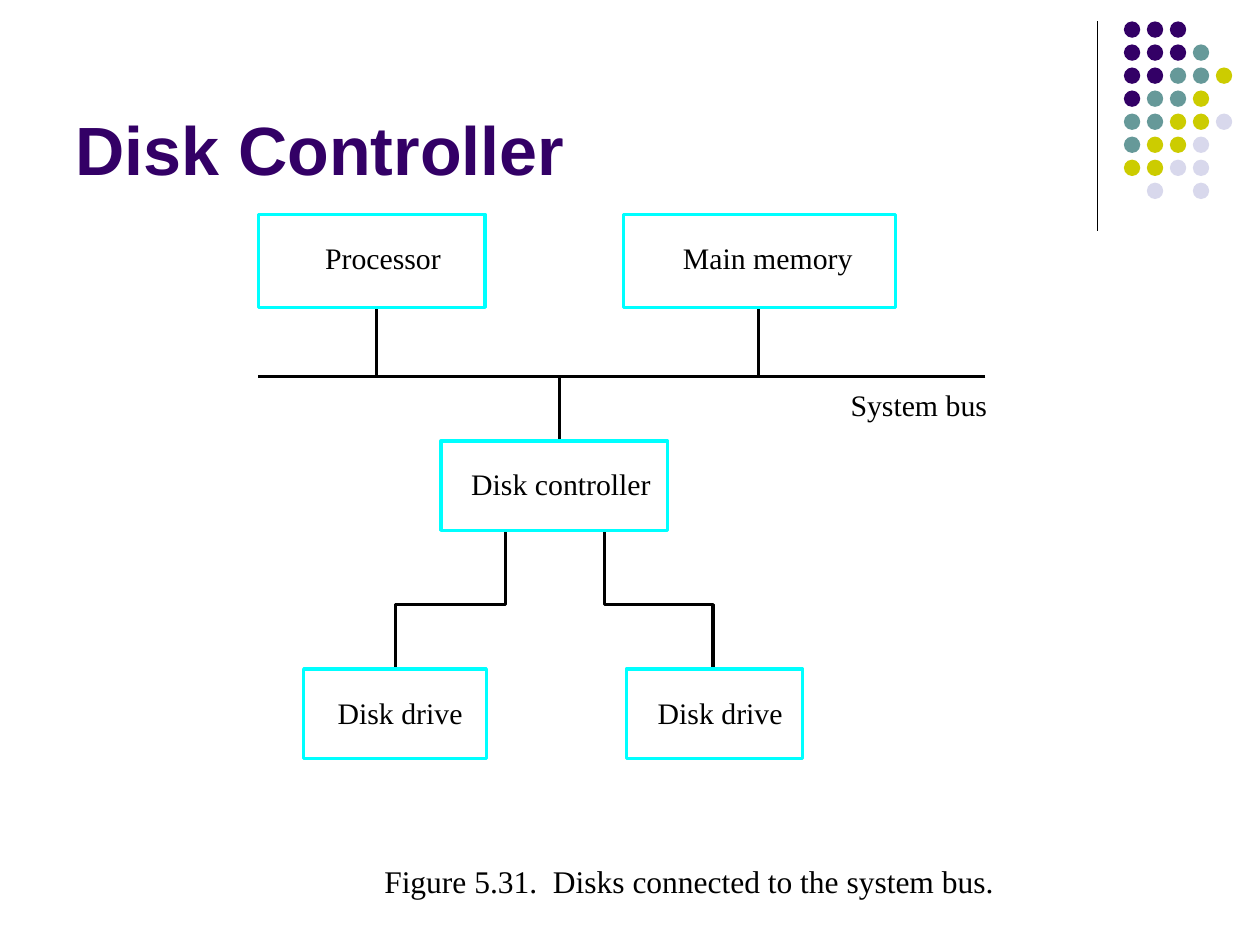
from lxml.etree import SubElement
from pptx import Presentation
from pptx.dml.color import RGBColor
from pptx.enum.shapes import MSO_CONNECTOR as CONNECTOR, MSO_SHAPE as SHAPE
from pptx.enum.text import MSO_ANCHOR as ANCHOR, MSO_AUTO_SIZE as AUTO_SIZE
from pptx.oxml.ns import qn
from pptx.util import Inches, Pt

PURPLE = RGBColor(0x33, 0x00, 0x66)
TEAL = RGBColor(0x66, 0x99, 0x99)
OLIVE = RGBColor(0xCC, 0xCC, 0x00)
LAVENDER = RGBColor(0xD8, 0xD8, 0xEC)
CYAN = RGBColor(0x00, 0xFF, 0xFF)
BLACK = RGBColor(0x00, 0x00, 0x00)
LINE_WIDTH = Pt(1.87)

deck = Presentation()
deck.slide_width = Inches(10)
deck.slide_height = Inches(7.5)
page = deck.slides.add_slide(deck.slide_layouts[6])


def add_line(x1, y1, x2, y2, width):
    line = page.shapes.add_connector(
        CONNECTOR.STRAIGHT, Inches(x1), Inches(y1), Inches(x2), Inches(y2))
    line.line.color.rgb = BLACK
    line.line.width = width
    SubElement(line._element.spPr, qn("a:effectLst"))


def add_text(text, left, top, width, height, size, font="Times New Roman", color=BLACK):
    box = page.shapes.add_textbox(Inches(left), Inches(top), Inches(width), Inches(height))
    frame = box.text_frame
    frame.text = text
    frame.word_wrap = False
    frame.auto_size = AUTO_SIZE.SHAPE_TO_FIT_TEXT
    frame.margin_left = frame.margin_right = frame.margin_top = frame.margin_bottom = 0
    span = frame.paragraphs[0].runs[0]
    span.font.size = Pt(size)
    span.font.name = font
    span.font.color.rgb = color
    return box


add_line(8.71, 0.17, 8.71, 1.83, Pt(0.75))

dot_colors = {"P": PURPLE, "T": TEAL, "O": OLIVE, "L": LAVENDER}
dot_rows = ["PPP", "PPPT", "PPTTO", "PTTO", "TTOOL", "TOOL", "OOLL", ".L.L"]
for row, codes in enumerate(dot_rows):
    for column, code in enumerate(codes):
        if code in dot_colors:
            dot = page.shapes.add_shape(
                SHAPE.OVAL, Inches(8.92 + 0.73 * column / 4), Inches(0.17 + 1.28 * row / 7),
                Inches(0.13), Inches(0.13))
            dot.shadow.inherit = False
            dot.fill.solid()
            dot.fill.fore_color.rgb = dot_colors[code]
            dot.line.fill.background()

title = add_text("Disk Controller", 0.5, 0.13, 8.25, 1.42, 39, "Arial", PURPLE)
title_frame = title.text_frame
title_frame.word_wrap = True
title_frame.auto_size = AUTO_SIZE.NONE
title_frame.vertical_anchor = ANCHOR.BOTTOM
title_frame.margin_left = title_frame.margin_right = Inches(0.1)
title_frame.margin_top = title_frame.margin_bottom = Inches(0.05)
title_frame.paragraphs[0].runs[0].font.bold = True

bus_y = 2.99
add_line(7.82, bus_y, 2.05, bus_y, LINE_WIDTH)
for x, end_y in [(2.99, 2.43), (6.02, 2.43), (4.44, 3.5)]:
    add_line(x, bus_y, x, end_y, LINE_WIDTH)

for drive_x, controller_x in [(3.14, 4.01), (5.66, 4.8)]:
    builder = page.shapes.build_freeform(Inches(drive_x), Inches(5.31))
    builder.add_line_segments(
        [(Inches(drive_x), Inches(4.8)), (Inches(controller_x), Inches(4.8)),
         (Inches(controller_x), Inches(4.21))], close=False)
    cable = builder.convert_to_shape()
    cable.shadow.inherit = False
    cable.fill.background()
    cable.line.color.rgb = BLACK
    cable.line.width = LINE_WIDTH

for left, top, width, height in [
    (2.05, 1.7, 1.8, 0.74),
    (4.95, 1.7, 2.16, 0.74),
    (3.5, 3.5, 1.8, 0.71),
    (2.41, 5.31, 1.45, 0.71),
    (4.97, 5.31, 1.4, 0.71),
]:
    block = page.shapes.add_shape(
        SHAPE.RECTANGLE, Inches(left), Inches(top), Inches(width), Inches(height))
    block.shadow.inherit = False
    block.fill.background()
    block.line.color.rgb = CYAN
    block.line.width = LINE_WIDTH

for text, left, top, width in [
    ("Processor", 2.58, 1.9, 0.92),
    ("Main memory", 5.42, 1.9, 1.35),
    ("System bus", 6.75, 3.07, 1.09),
    ("Disk controller", 3.74, 3.7, 1.43),
    ("Disk drive", 2.68, 5.51, 1),
    ("Disk drive", 5.22, 5.51, 1),
]:
    add_text(text, left, top, width, 0.28, 17)

add_text("Figure 5.31.  Disks connected to the system bus.", 3.05, 6.84, 4.84, 0.3, 18)

deck.save("out.pptx")
